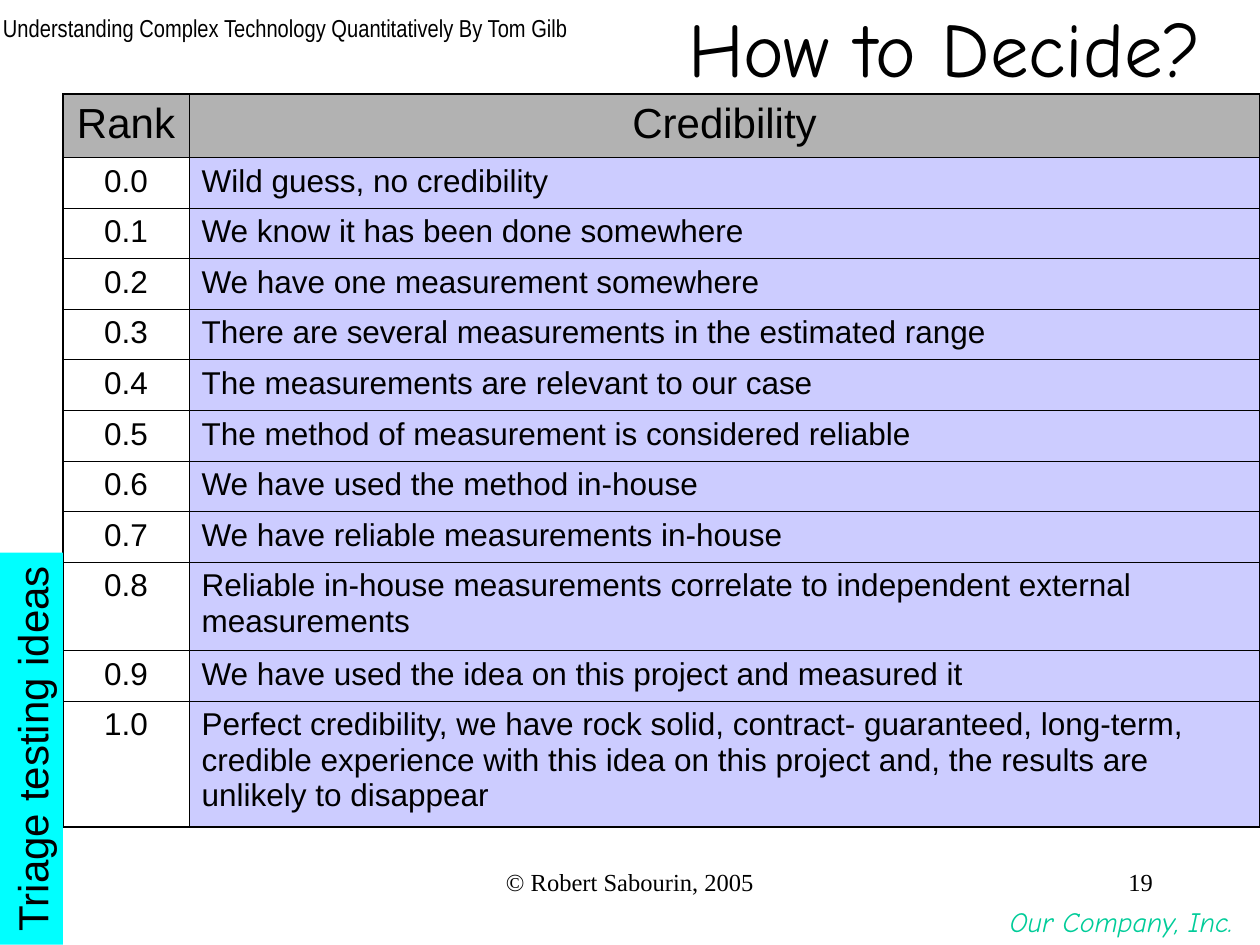
from dataclasses import dataclass

from lxml.etree import SubElement
from pptx import Presentation
from pptx.dml.color import RGBColor
from pptx.enum.shapes import MSO_SHAPE
from pptx.enum.text import MSO_ANCHOR, MSO_AUTO_SIZE, PP_ALIGN
from pptx.oxml.ns import qn
from pptx.util import Cm, Pt


@dataclass(frozen=True)
class Theme:
    # Colours
    ink: str = "000000"
    header: str = "B2B2B2"
    rank: str = "FFFFFF"
    credibility: str = "CCCCFF"
    tab: str = "00FFFF"
    company: str = "00CC99"
    # Fonts
    sans: str = "Arial"
    narrow: str = "Arial Narrow"
    serif: str = "Times New Roman"
    comic: str = "Comic Neue"
    # Type sizes and line widths, in points
    title: int = 44
    heading: int = 24
    body: int = 18
    brand: int = 16
    small: int = 14
    outer_line: float = 1.08
    inner_line: float = 0.45


THEME = Theme()

SCALE = [
    ("0.0", "Wild guess, no credibility"),
    ("0.1", "We know it has been done somewhere"),
    ("0.2", "We have one measurement somewhere"),
    ("0.3", "There are several measurements in the estimated range"),
    ("0.4", "The measurements are relevant to our case"),
    ("0.5", "The method of measurement is considered reliable"),
    ("0.6", "We have used the method in-house"),
    ("0.7", "We have reliable measurements in-house"),
    ("0.8", "Reliable in-house measurements correlate to independent external "
            "measurements"),
    ("0.9", "We have used the idea on this project and measured it"),
    ("1.0", "Perfect credibility, we have rock solid, contract- guaranteed, "
            "long-term, credible experience with this idea on this project "
            "and, the results are unlikely to disappear"),
]
HEADER_HEIGHT = 1.27
ROW_HEIGHT = 1.02
TALL_ROWS = {"0.8": 1.78, "1.0": 2.54}


def write(tf, text, font, size, align=PP_ALIGN.LEFT, color=THEME.ink, italic=False):
    p = tf.paragraphs[0]
    p.text = text
    p.alignment = align
    p.font.name = font
    p.font.size = Pt(size)
    p.font.italic = italic
    p.font.color.rgb = RGBColor.from_string(color)


def add_title(s, text, left, top, width, height):
    sp = s.shapes.title
    sp.left, sp.top, sp.width, sp.height = Cm(left), Cm(top), Cm(width), Cm(height)
    tf = sp.text_frame
    tf.auto_size = MSO_AUTO_SIZE.NONE
    tf.vertical_anchor = MSO_ANCHOR.MIDDLE
    write(tf, text, THEME.comic, THEME.title, PP_ALIGN.CENTER)


def add_label(s, text, left, top, width, height, font, size, **style):
    tf = s.shapes.add_textbox(Cm(left), Cm(top), Cm(width), Cm(height)).text_frame
    tf.word_wrap = True
    write(tf, text, font, size, **style)
    return tf


def add_side_tab(s, text, left, top, width, height):
    """Add a band that reads upwards; the box is that of the turned band."""
    shift = (height - width) / 2
    sp = s.shapes.add_shape(MSO_SHAPE.RECTANGLE, Cm(left - shift), Cm(top + shift),
                            Cm(height), Cm(width))
    sp.rotation = 270
    sp.shadow.inherit = False
    sp.fill.solid()
    sp.fill.fore_color.rgb = RGBColor.from_string(THEME.tab)
    sp.line.fill.background()
    sp.text_frame.word_wrap = False
    write(sp.text_frame, text, THEME.sans, THEME.heading, PP_ALIGN.CENTER)


def set_border(cell, side, width):
    ln = SubElement(cell._tc.get_or_add_tcPr(), qn(f"a:ln{side}"), w=str(Pt(width)))
    fill = SubElement(ln, qn("a:solidFill"))
    SubElement(fill, qn("a:srgbClr"), val=THEME.ink)


def format_cell(cell, outer_sides, fill):
    for side in "LRTB":
        outer = side in outer_sides
        set_border(cell, side, THEME.outer_line if outer else THEME.inner_line)
    cell.fill.solid()
    cell.fill.fore_color.rgb = RGBColor.from_string(fill)


def add_scale_table(s, left, top, widths):
    rows = [("Rank", "Credibility")] + SCALE
    heights = [HEADER_HEIGHT] + [TALL_ROWS.get(rank, ROW_HEIGHT) for rank, _ in SCALE]
    table = s.shapes.add_table(len(rows), len(widths), Cm(left), Cm(top),
                               Cm(sum(widths)), Cm(sum(heights))).table
    table.first_row = table.horz_banding = False
    for column, width in zip(table.columns, widths):
        column.width = Cm(width)

    for i, (texts, height) in enumerate(zip(rows, heights)):
        table.rows[i].height = Cm(height)
        is_header = i == 0
        edge = "T" if is_header else "B" if i == len(rows) - 1 else ""
        size = THEME.heading if is_header else THEME.body
        for j, text in enumerate(texts):
            cell = table.cell(i, j)
            fill = THEME.header if is_header else (THEME.rank, THEME.credibility)[j]
            format_cell(cell, edge + "LR"[j], fill)
            centred = is_header or j == 0
            write(cell.text_frame, text, THEME.sans, size,
                  PP_ALIGN.CENTER if centred else PP_ALIGN.LEFT)


def main():
    prs = Presentation()
    prs.slide_width, prs.slide_height = Cm(25.4), Cm(19.05)
    s = prs.slides.add_slide(prs.slide_layouts[5])

    # Company line
    add_label(s, "Our Company, Inc.", 20.11, 18.11, 5.29, 0.94, THEME.comic,
              THEME.brand, color=THEME.company, italic=True)

    # Heading
    add_title(s, "How to Decide?", 12.7, 0, 12.7, 1.9)
    source = add_label(
        s, "Understanding Complex Technology Quantitatively By Tom Gilb",
        0.06, 0, 11.67, 1.1, THEME.narrow, THEME.small)
    source.margin_left = source.margin_right = 0
    source.vertical_anchor = MSO_ANCHOR.MIDDLE

    # Credibility scale
    add_scale_table(s, 1.27, 1.9, [2.54, 21.59])
    add_side_tab(s, "Triage testing ideas", 0, 11.14, 1.27, 7.9)

    # Footer
    add_label(s, "© Robert Sabourin, 2005", 8.68, 17.36, 8.04, 1.27,
              THEME.serif, THEME.small, align=PP_ALIGN.CENTER)
    add_label(s, "19", 18.2, 17.36, 5.29, 1.27,
              THEME.serif, THEME.small, align=PP_ALIGN.RIGHT)

    prs.save("out.pptx")


if __name__ == "__main__":
    main()
